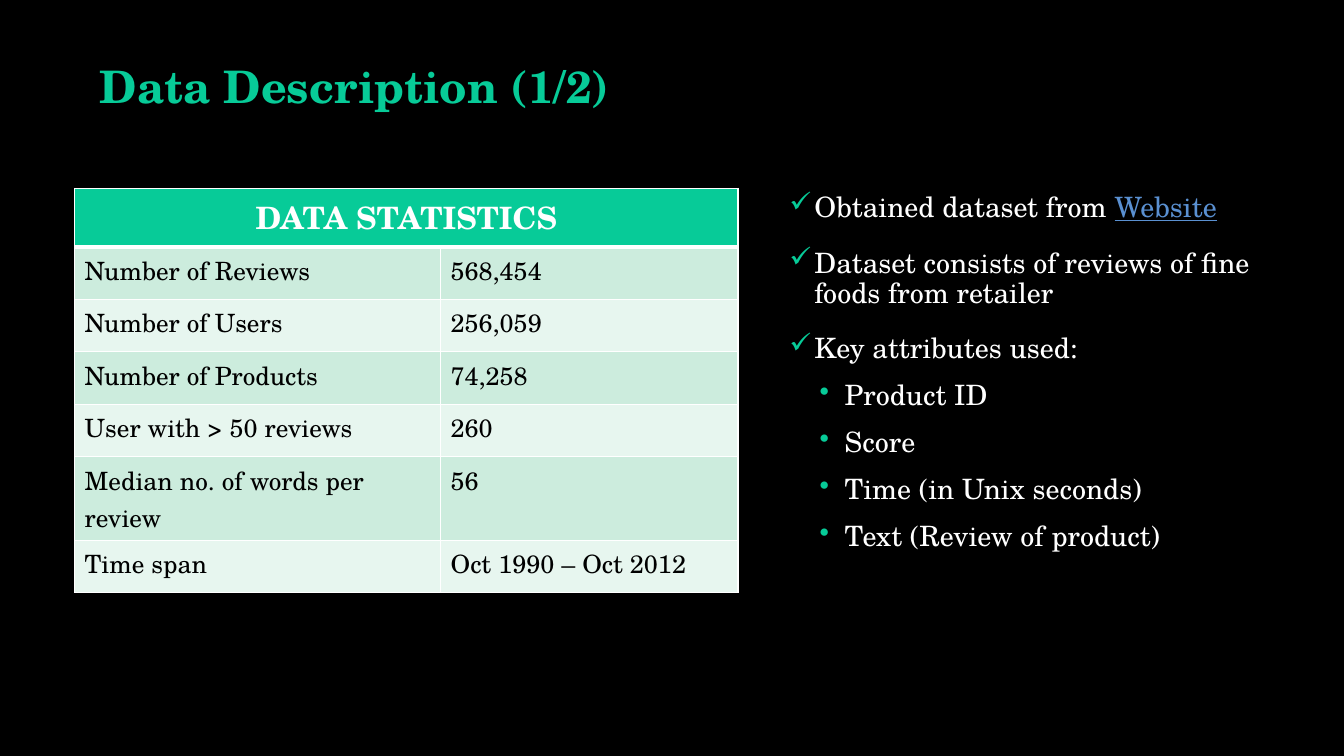
import pptx
import pptx.util
import pptx.dml.color
import pptx.enum.text
import pptx.oxml.ns
import lxml.etree

RGB = pptx.dml.color.RGBColor
BLACK = RGB(0x00, 0x00, 0x00)
WHITE = RGB(0xFF, 0xFF, 0xFF)
GREEN = RGB(0x07, 0xCB, 0x98)
MINT = RGB(0xCC, 0xEC, 0xDD)
PALE = RGB(0xE7, 0xF6, 0xEF)
BLUE = RGB(0x5A, 0x90, 0xD1)
FACE = "TeX Gyre Schola"

STATS = [
    ("Number of Reviews", "568,454"),
    ("Number of Users", "256,059"),
    ("Number of Products", "74,258"),
    ("User with > 50 reviews", "260"),
    ("Median no. of words per review", "56"),
    ("Time span", "Oct 1990 – Oct 2012"),
]
# level, text, linked word
NOTES = [
    (0, "Obtained dataset from ", "Website"),
    (0, "Dataset consists of reviews of fine foods from retailer", ""),
    (0, "Key attributes used:", ""),
    (1, "Product ID", ""),
    (1, "Score", ""),
    (1, "Time (in Unix seconds)", ""),
    (1, "Text (Review of product)", ""),
]
# level: bullet, indent in px, space before in points
LEVELS = [("✓", 25, 18), ("•", 55, 12)]


def px(count):
    """Turn px, 100 to the inch, into EMU."""
    return pptx.util.Emu(count * 9144)


def add(parent, tag, **attrs):
    return lxml.etree.SubElement(parent, pptx.oxml.ns.qn(tag), attrs)


class Page:
    def __init__(self, deck):
        self.slide = deck.slides.add_slide(deck.slide_layouts[5])
        fill = self.slide.background.fill
        fill.solid()
        fill.fore_color.rgb = BLACK

    def style(self, para, size, color, bold=False):
        font = para.font
        font.name, font.size, font.bold = FACE, pptx.util.Pt(size), bold
        font.color.rgb = color

    def title(self, text, left, top, width, height):
        shape = self.slide.shapes.title
        shape.left, shape.top = px(left), px(top)
        shape.width, shape.height = px(width), px(height)
        frame = shape.text_frame
        frame.text = text
        frame.vertical_anchor = pptx.enum.text.MSO_ANCHOR.BOTTOM
        para = frame.paragraphs[0]
        para.alignment = pptx.enum.text.PP_ALIGN.LEFT
        para.line_spacing = 0.9
        self.style(para, 32, GREEN, True)

    def bullet(self, para, sign, indent):
        props = para._p.get_or_add_pPr()
        props.set("marL", str(px(indent)))
        props.set("indent", str(px(-25)))
        add(add(props, "a:buClr"), "a:srgbClr", val=str(GREEN))
        add(props, "a:buChar", char=sign)

    def notes(self, items, left, top, width, height):
        box = self.slide.shapes.add_textbox(px(left), px(top), px(width), px(height))
        frame = box.text_frame
        frame.word_wrap = True
        for i, (level, text, link) in enumerate(items):
            para = frame.add_paragraph() if i else frame.paragraphs[0]
            sign, indent, space = LEVELS[level]
            para.level = level
            para.line_spacing = 0.9
            para.space_before = pptx.util.Pt(space)
            self.bullet(para, sign, indent)
            self.style(para, 20, WHITE)
            para.add_run().text = text
            if link:
                run = para.add_run()
                run.text = link
                run.font.color.rgb = BLUE
                run.font.underline = True

    def border(self, cell, base):
        """Draw white cell edges, the bottom one base points wide."""
        props = cell._tc.get_or_add_tcPr()
        for i, side in enumerate("LRTB"):
            wide = pptx.util.Pt(base if side == "B" else 1)
            line = add(props, "a:ln" + side, w=str(wide))
            add(add(line, "a:solidFill"), "a:srgbClr", val=str(WHITE))
            props.insert(i, line)

    def cell(self, cell, text, fill, size=18, color=BLACK, head=False):
        cell.fill.solid()
        cell.fill.fore_color.rgb = fill
        cell.text = text
        para = cell.text_frame.paragraphs[0]
        self.style(para, size, color, head)
        if head:
            para.alignment = pptx.enum.text.PP_ALIGN.CENTER
        self.border(cell, 3 if head else 1)

    def table(self, head, rows, left, top, cols, heights):
        table = self.slide.shapes.add_table(
            len(heights), len(cols), px(left), px(top),
            px(sum(cols)), px(sum(heights))).table
        for col, width in zip(table.columns, cols):
            col.width = px(width)
        for row, height in zip(table.rows, heights):
            row.height = px(height)
        for c, text in enumerate((head, "")):
            self.cell(table.cell(0, c), text, GREEN, 22, WHITE, True)
        table.cell(0, 0).merge(table.cell(0, 1))
        for r, row in enumerate(rows, 1):
            for c, text in enumerate(row):
                self.cell(table.cell(r, c), text, MINT if r % 2 else PALE)


def main():
    deck = pptx.Presentation()
    deck.slide_width, deck.slide_height = px(1333), px(750)
    page = Page(deck)
    page.title("Data Description (1/2)", 89, 0, 1050, 117)
    page.notes(NOTES, 773, 187, 500, 476)
    page.table("DATA STATISTICS", STATS, 74, 187, [363, 295],
               [58, 52, 52, 52, 52, 83, 52])
    deck.save("out.pptx")


if __name__ == "__main__":
    main()
